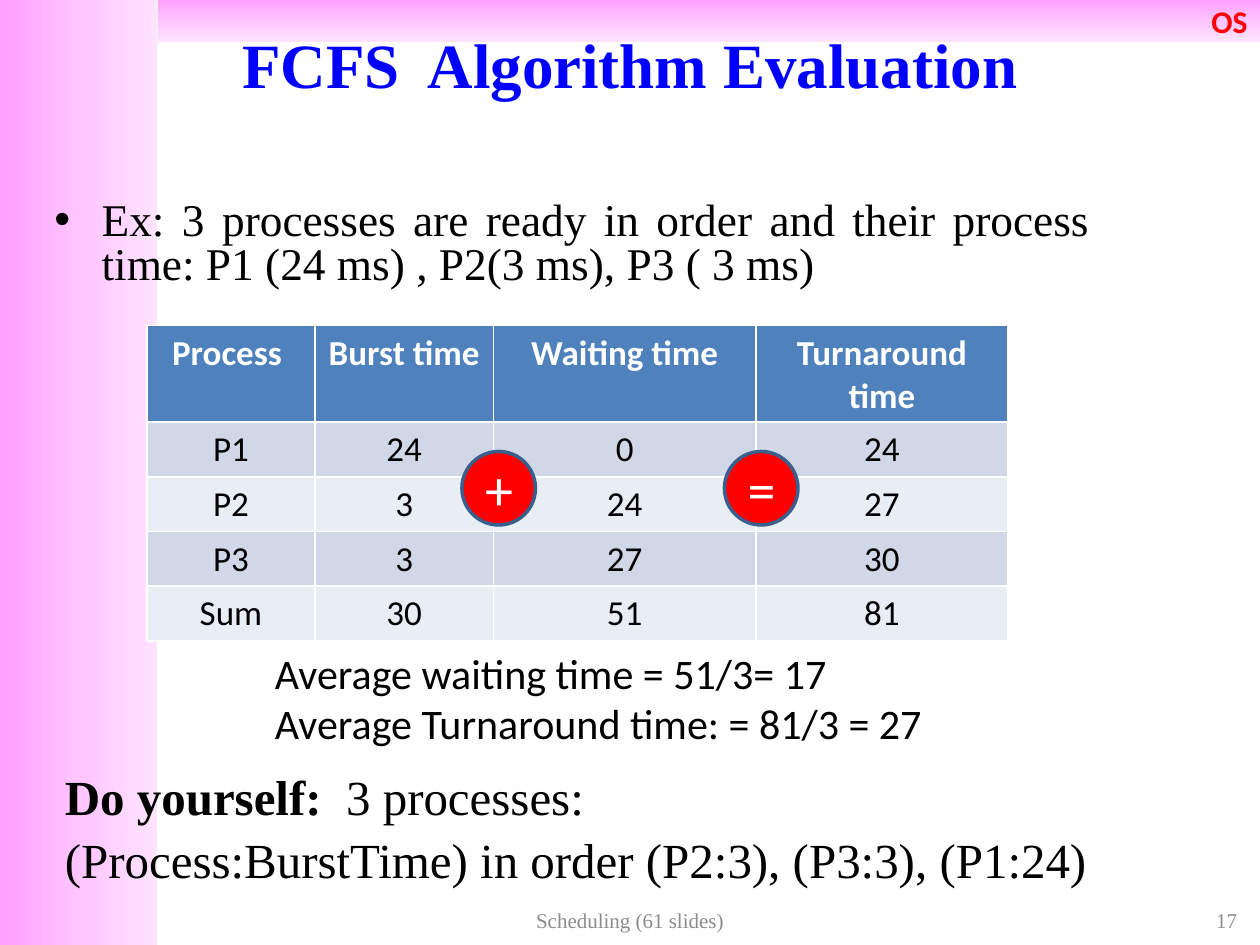
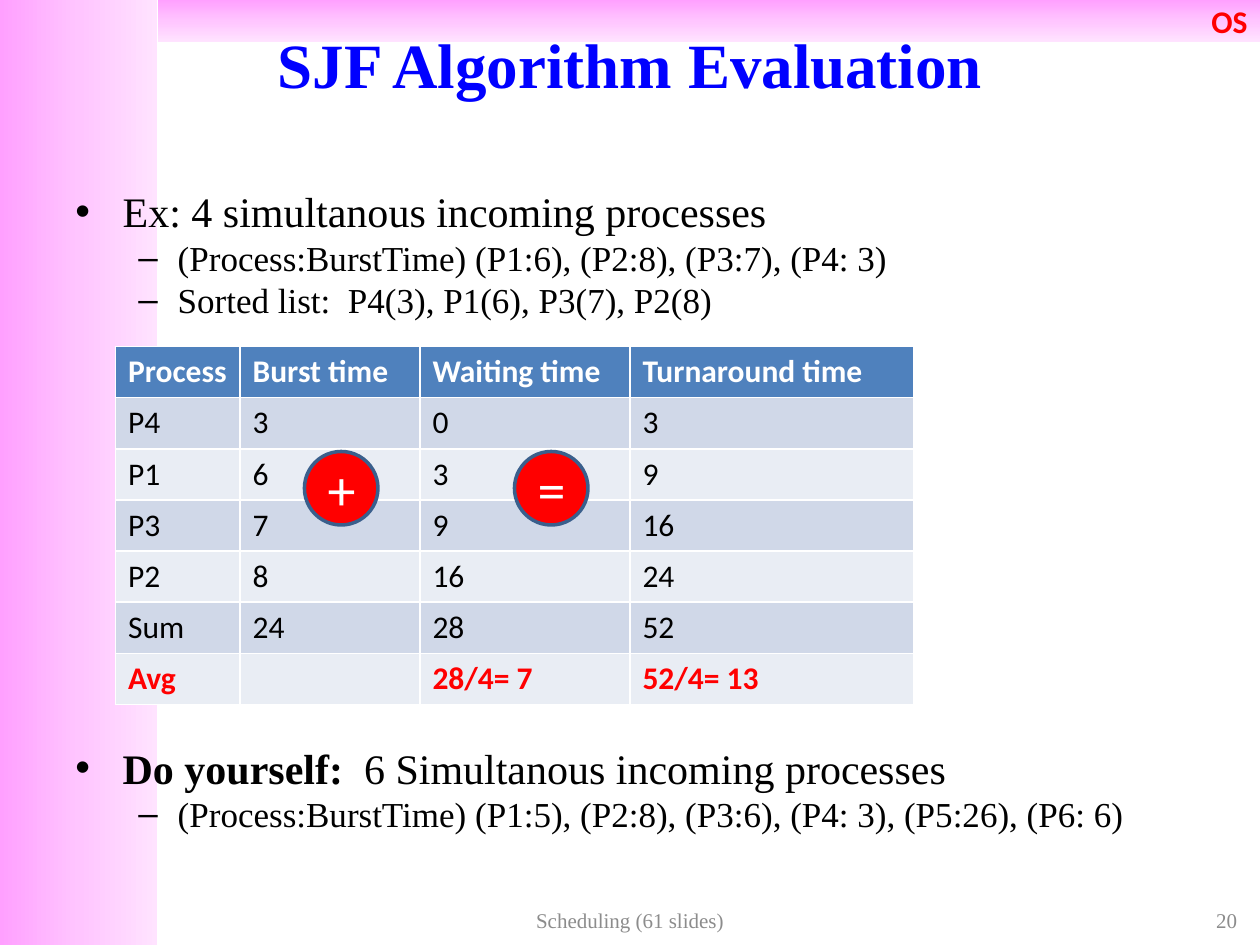
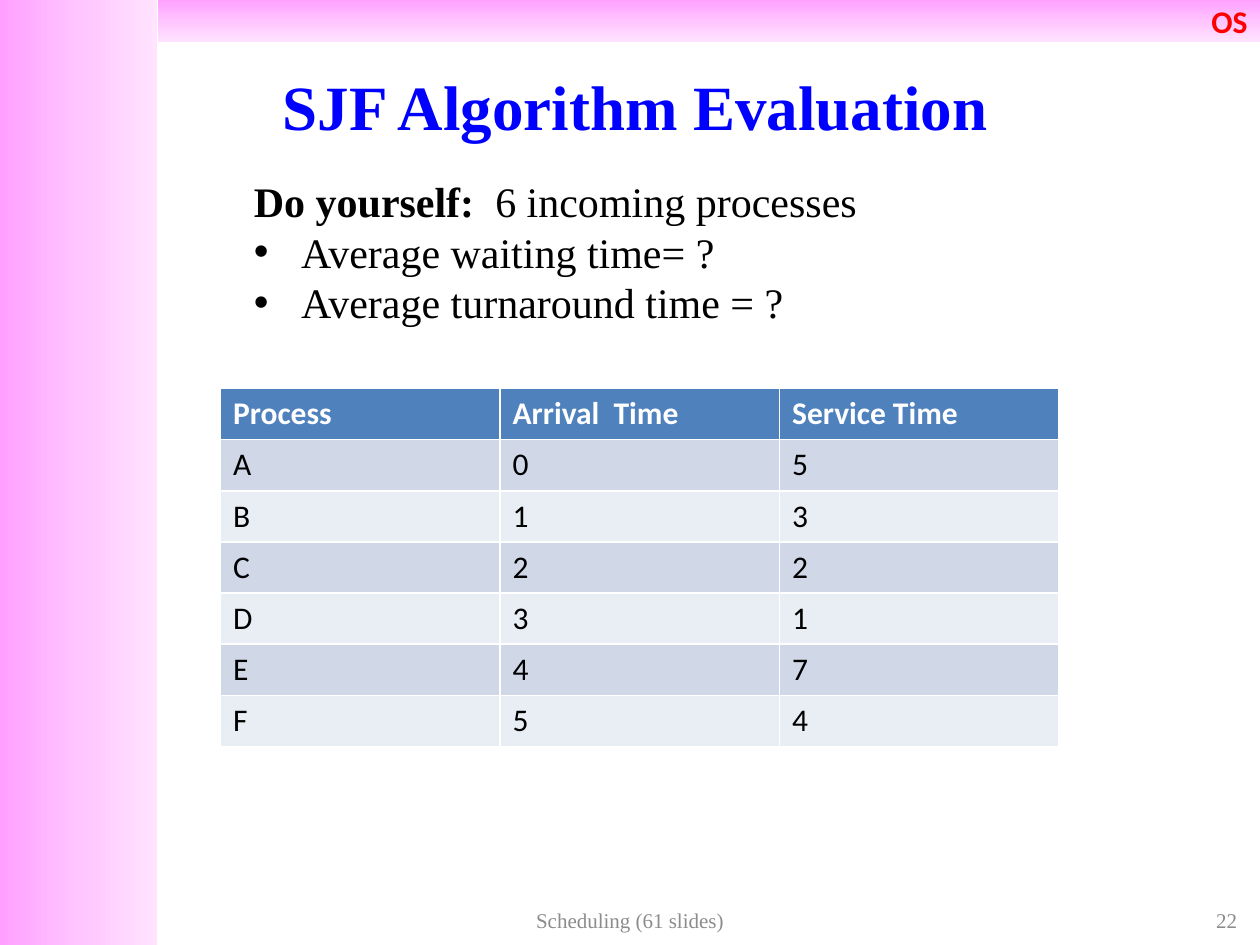
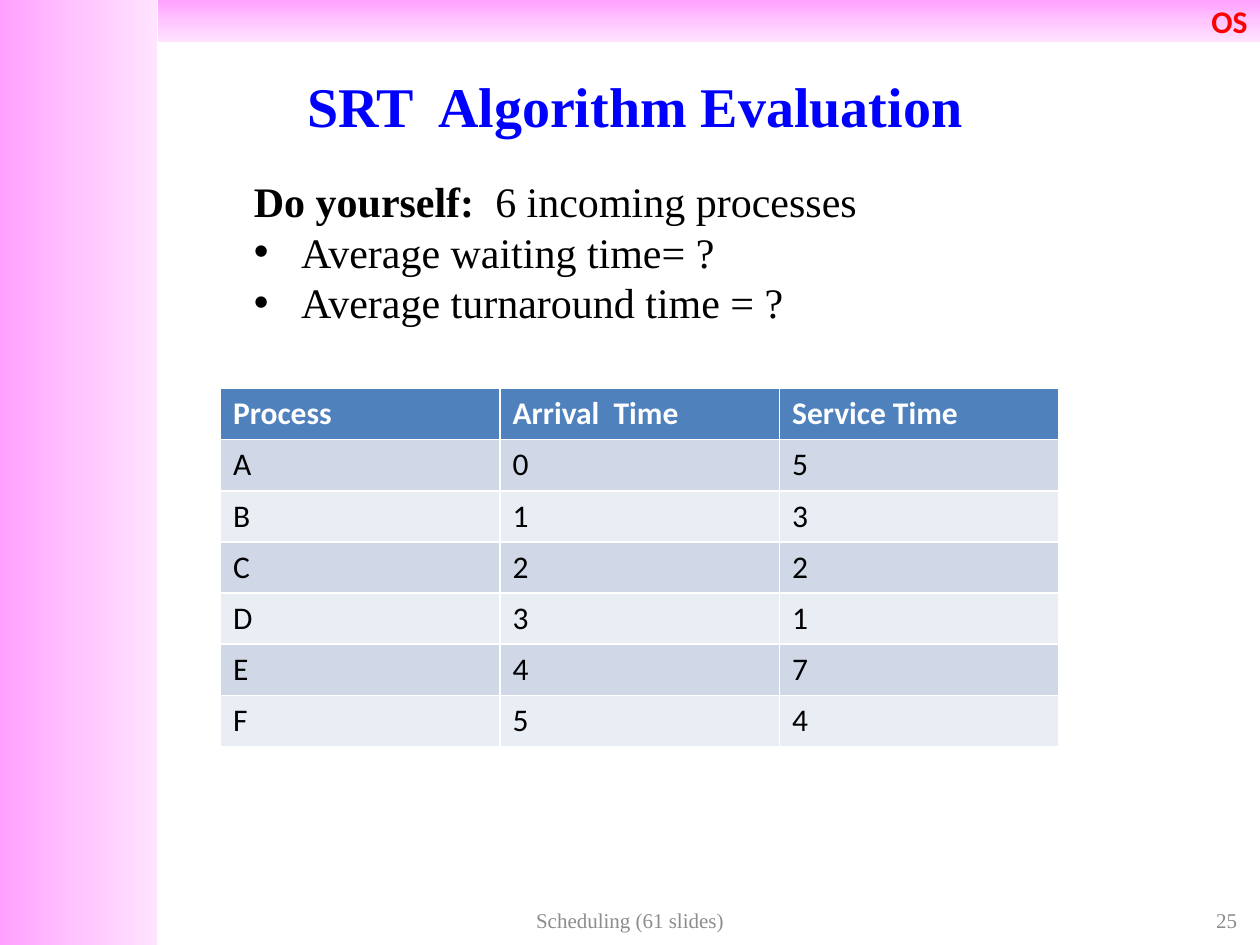
import copy

import pptx
import pptx.dml.color
import pptx.enum.shapes
import pptx.enum.text
import pptx.oxml
import pptx.oxml.ns
import pptx.util

PX = 9525  # EMU per px, 96 px to the inch
COLORS = {
    "band_dark": "FFA0FF", "band_mid": "FFC5FF", "band_light": "FFE3FF",
    "title": "0000FF", "text": "000000", "white": "FFFFFF", "red": "FF0000",
    "footer": "8C8C8C", "header": "4F81BD", "row_odd": "D0D8E8",
    "row_even": "E9EDF4", "circle_line": "3A5F8C",
}
SERIF, SANS = "Times New Roman", "Calibri"
ALIGN = pptx.enum.text.PP_ALIGN
MIDDLE = pptx.enum.text.MSO_ANCHOR.MIDDLE
SHAPE = pptx.enum.shapes.MSO_SHAPE

# Paragraph kinds: left indent, first-line indent, bullet
KINDS = {
    "plain": (0, 0, None),
    "hanging": (36, -36, None),
    "bullet": (36, -36, "•"),
    "dash": (78, -30, "–"),
}


def color(name):
    return pptx.dml.color.RGBColor.from_string(COLORS[name])


def write(paragraph, runs, size, font=SERIF, fill="text", align=ALIGN.LEFT, kind="plain"):
    """Format one paragraph and add its (text, bold) runs."""
    left, first, bullet = KINDS[kind]
    paragraph.alignment = align
    if left:
        properties = paragraph._p.get_or_add_pPr()
        properties.set("marL", str(left * PX))
        properties.set("indent", str(first * PX))
        if bullet:
            properties.append(pptx.oxml.parse_xml(
                f'<a:buFont {pptx.oxml.ns.nsdecls("a")} typeface="Arial"/>'))
            properties.append(pptx.oxml.parse_xml(
                f'<a:buChar {pptx.oxml.ns.nsdecls("a")} char="{bullet}"/>'))
    for text, bold in runs:
        run = paragraph.add_run()
        run.text = text
        run.font.size = pptx.util.Pt(size)
        run.font.name = font
        run.font.bold = bold
        run.font.color.rgb = color(fill)


# Content shared by the two closing exercises
exercise = {
    "title_box": (152, 40, 664, 80),
    "texts": [{
        "box": (184, 136, 576, 120), "spacing": 0.8,
        "paragraphs": [
            (24, "hanging", [("Do yourself: ", True), (" 6 incoming processes", False)]),
            (24, "bullet", [("Average waiting time= ?", False)]),
            (24, "bullet", [("Average turnaround time = ?", False)]),
        ]}],
    "table": {
        "at": (168, 296), "columns": [213] * 3, "size": 18, "align": ALIGN.LEFT,
        "rows": [
            ["Process", "Arrival  Time", "Service Time"],
            ["A", "0", "5"], ["B", "1", "3"], ["C", "2", "2"],
            ["D", "3", "1"], ["E", "4", "7"], ["F", "5", "4"],
        ]},
    "circles": [],
}

pages = [
    {
        "number": "17", "title": "FCFS  Algorithm Evaluation", "title_size": 36,
        "title_box": (0, 0, 960, 96),
        "texts": [
            {"box": (32, 104, 808, 120), "spacing": 0.8, "inset": 50,
             "paragraphs": [
                 (25.9, "bullet", [("Ex: 3 processes are ready in order and their process time: "
                                    "P1 (24 ms) , P2(3 ms), P3 ( 3 ms)", False)]),
             ]},
            {"box": (200, 488, 600, 87), "font": SANS, "align": ALIGN.LEFT,
             "paragraphs": [
                 (24, "plain", [("Average waiting time = 51/3= 17", False)]),
                 (24, "plain", [("Average Turnaround time: = 81/3 = 27", False)]),
             ]},
            {"box": (40, 584, 808, 112), "spacing": 0.9,
             "paragraphs": [
                 (28, "hanging", [("Do yourself:", True), ("  3 processes:", False)]),
                 (28, "hanging", [("(Process:BurstTime) in order (P2:3), (P3:3), (P1:24)", False)]),
             ]},
        ],
        "table": {
            "at": (112, 248), "columns": [128, 136, 200, 192], "size": 20, "align": ALIGN.CENTER,
            "rows": [
                ["Process ", "Burst time", "Waiting time", "Turnaround time"],
                ["P1", "24", "0", "24"], ["P2", "3", "24", "27"],
                ["P3", "3", "27", "30"], ["Sum", "30", "51", "81"],
            ]},
        "circles": [("+", 352), ("=", 552)],
    },
    {
        "number": "20", "title": "SJF Algorithm Evaluation", "title_size": 36,
        "title_box": (48, 0, 864, 96),
        "texts": [
            {"box": (48, 144, 864, 120), "spacing": 0.8,
             "paragraphs": [
                 (24, "bullet", [("Ex: 4 simultanous incoming processes", False)]),
                 (20, "dash", [("(Process:BurstTime) (P1:6), (P2:8), (P3:7), (P4: 3)", False)]),
                 (20, "dash", [("Sorted list:  P4(3), P1(6), P3(7), P2(8)", False)]),
             ]},
            {"box": (48, 568, 864, 88), "spacing": 0.8,
             "paragraphs": [
                 (24, "bullet", [("Do yourself: ", True),
                                 (" 6 Simultanous incoming processes", False)]),
                 (20, "dash", [("(Process:BurstTime) (P1:5), (P2:8), (P3:6), (P4: 3), "
                                "(P5:26), (P6: 6)", False)]),
             ]},
        ],
        "table": {
            "at": (88, 264), "columns": [95, 137, 160, 216], "size": 18, "align": ALIGN.LEFT,
            "rows": [
                ["Process", "Burst time", "Waiting time", "Turnaround time"],
                ["P4", "3", "0", "3"], ["P1", "6", "3", "9"],
                ["P3", "7", "9", "16"], ["P2", "8", "16", "24"],
                ["Sum", "24", "28", "52"], ["Avg", "", "28/4= 7", "52/4= 13"],
            ]},
        "circles": [("+", 232), ("=", 392)],
    },
    {**exercise, "number": "22", "title": "SJF Algorithm Evaluation", "title_size": 36},
    {**exercise, "number": "25", "title": "SRT  Algorithm Evaluation", "title_size": 32},
]

presentation = pptx.Presentation()
presentation.slide_width = 960 * PX
presentation.slide_height = 720 * PX
layout = presentation.slide_layouts[5]
slides = [presentation.slides.add_slide(layout) for page in pages]

# Gradient bands, made once and moved into the layout
bands = [((0, 0, 120, 720), 0, ""), ((120, 0, 840, 32), 270, "OS")]
for index, (box, angle, label) in enumerate(bands):
    band = slides[0].shapes.add_shape(SHAPE.RECTANGLE, *[length * PX for length in box])
    band.shadow.inherit = False
    band.line.fill.background()
    band.fill.gradient()
    band.fill.gradient_angle = angle
    stop_list = band.element.find(".//" + pptx.oxml.ns.qn("a:gsLst"))
    stop_list.insert(1, copy.deepcopy(stop_list[0]))
    for stop, position, name in zip(band.fill.gradient_stops, (0, 0.5, 1),
                                    ("band_dark", "band_mid", "band_light")):
        stop.position = position
        stop.color.rgb = color(name)
    if label:
        band.text_frame.vertical_anchor = MIDDLE
        write(band.text_frame.paragraphs[0], [(label, True)], 18, SANS, "red", ALIGN.RIGHT)
    band.element.nvSpPr.cNvPr.id = 20 + index
    layout.shapes.element.insert(2 + index, band.element)

for slide, page in zip(slides, pages):
    # Title
    title = slide.shapes.title
    title.left, title.top, title.width, title.height = [length * PX for length in page["title_box"]]
    title.text_frame.vertical_anchor = MIDDLE
    write(title.text_frame.paragraphs[0], [(page["title"], True)], page["title_size"],
          fill="title", align=ALIGN.CENTER)

    # Body texts
    for text in page["texts"]:
        frame = slide.shapes.add_textbox(*[length * PX for length in text["box"]]).text_frame
        frame.word_wrap = True
        frame.margin_top = text.get("inset", 5) * PX
        for index, (size, kind, runs) in enumerate(text["paragraphs"]):
            paragraph = frame.add_paragraph() if index else frame.paragraphs[0]
            if "spacing" in text:
                paragraph.line_spacing = text["spacing"]
                if index:
                    paragraph.space_before = pptx.util.Pt(round(size * 0.23))
            write(paragraph, runs, size, text.get("font", SERIF),
                  align=text.get("align", ALIGN.JUSTIFY), kind=kind)

    # Process table
    data = page["table"]
    rows, columns = data["rows"], data["columns"]
    left, top = data["at"]
    table = slide.shapes.add_table(len(rows), len(columns), left * PX, top * PX,
                                   sum(columns) * PX, 39 * len(rows) * PX).table
    for column, width in zip(table.columns, columns):
        column.width = width * PX
    for row_index, row in enumerate(rows):
        average = row[0] == "Avg"
        if row_index == 0:
            cell_fill, text_fill = "header", "white"
        else:
            cell_fill = "row_odd" if row_index % 2 else "row_even"
            text_fill = "red" if average else "text"
        for column_index, value in enumerate(row):
            cell = table.cell(row_index, column_index)
            cell.fill.solid()
            cell.fill.fore_color.rgb = color(cell_fill)
            runs = [(value, row_index == 0 or average)] if value else []
            write(cell.text_frame.paragraphs[0], runs, data["size"], SANS, text_fill,
                  data["align"])

    # Operator circles between the columns
    for sign, left in page["circles"]:
        circle = slide.shapes.add_shape(SHAPE.OVAL, left * PX, 344 * PX, 56 * PX, 56 * PX)
        circle.shadow.inherit = False
        circle.fill.solid()
        circle.fill.fore_color.rgb = color("red")
        circle.line.color.rgb = color("circle_line")
        circle.line.width = pptx.util.Pt(2)
        circle.text_frame.vertical_anchor = MIDDLE
        write(circle.text_frame.paragraphs[0], [(sign, False)], 32, SANS, "white", ALIGN.CENTER)

    # Slide number and footer
    for value, left, width, align in [(page["number"], 728, 224, ALIGN.RIGHT),
                                      ("Scheduling (61 slides)", 328, 304, ALIGN.CENTER)]:
        frame = slide.shapes.add_textbox(left * PX, 688 * PX, width * PX, 26 * PX).text_frame
        frame.word_wrap = True
        frame.vertical_anchor = MIDDLE
        write(frame.paragraphs[0], [(value, False)], 12, fill="footer", align=align)

presentation.save("out.pptx")
